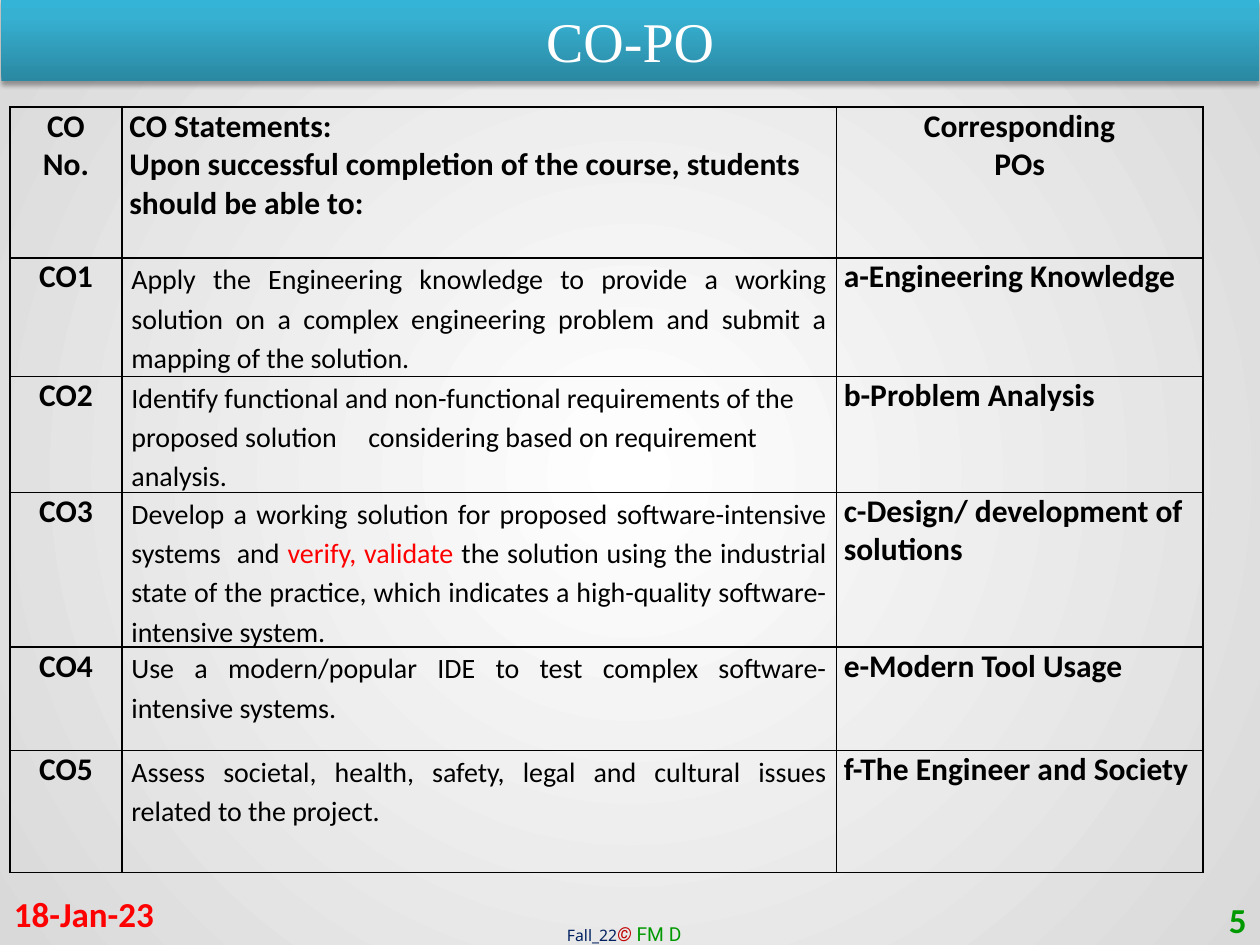
from lxml import etree
from pptx import Presentation
from pptx.dml.color import RGBColor
from pptx.enum.shapes import MSO_SHAPE
from pptx.enum.text import MSO_ANCHOR, PP_ALIGN
from pptx.oxml.ns import qn
from pptx.util import Cm, Pt

LEFT, CENTER, RIGHT, JUSTIFY = PP_ALIGN.LEFT, PP_ALIGN.CENTER, PP_ALIGN.RIGHT, PP_ALIGN.JUSTIFY
TOP, MIDDLE = MSO_ANCHOR.TOP, MSO_ANCHOR.MIDDLE

BLACK = RGBColor(0x00, 0x00, 0x00)
WHITE = RGBColor(0xFF, 0xFF, 0xFF)
GREY = RGBColor(0xD9, 0xD9, 0xD9)
RED = RGBColor(0xFF, 0x00, 0x00)
DARK_RED = RGBColor(0xC0, 0x00, 0x00)
GREEN = RGBColor(0x00, 0x99, 0x00)
NAVY = RGBColor(0x00, 0x20, 0x60)
DEEP_TEAL = RGBColor(0x2A, 0x88, 0xA2)
TEAL = RGBColor(0x37, 0xB1, 0xD2)
LIGHT_TEAL = RGBColor(0x34, 0xB4, 0xD6)

TITLE_FORMAT = {"name": "Times New Roman", "size": Pt(32), "color": WHITE}
DATE_FORMAT = {"name": "Calibri", "size": Pt(20), "bold": True, "color": RED}
NUMBER_FORMAT = {**DATE_FORMAT, "color": GREEN}
LABEL_FORMAT = {"name": "Calibri", "size": Pt(18), "bold": True, "color": BLACK}
STATEMENT_FORMAT = {"name": "Calibri", "size": Pt(16), "bold": False, "color": BLACK}
STRESS_FORMAT = {**STATEMENT_FORMAT, "color": RED}
TERM_FORMAT = {"name": "Noto Sans", "size": Pt(9), "color": NAVY}
OWNER_FORMAT = {"name": "Roboto", "size": Pt(11), "color": GREEN}
SIGN_FORMAT = {**OWNER_FORMAT, "color": DARK_RED, "italic": True}

# left, top, width, height in cm; alignment; anchor; runs
TEXT_BOXES = [
    ((11.18, 18.47, 3.02, 0.74), LEFT, TOP,
     [("Fall_22", TERM_FORMAT), ("© ", SIGN_FORMAT), ("FM D", OWNER_FORMAT)]),
    ((0.03, 17.91, 5.92, 1.02), LEFT, MIDDLE, [("18-Jan-23", DATE_FORMAT)]),
    ((19.46, 18.03, 5.92, 1.02), RIGHT, MIDDLE, [("5", NUMBER_FORMAT)]),
]

HEADINGS = [
    (["CO", "No."], CENTER),
    (["CO Statements:",
      "Upon successful completion of the course, students should be able to:"], LEFT),
    (["Corresponding", "POs"], CENTER),
]
# statement pieces alternate between plain and stressed text
OUTCOMES = [
    ("CO1", ["Apply the Engineering knowledge to provide a working solution on a complex "
             "engineering problem and submit a mapping of the solution."],
     JUSTIFY, "a-Engineering Knowledge"),
    ("CO2", ["Identify functional and non-functional requirements of the proposed "
             "solution     considering based on requirement analysis."],
     LEFT, "b-Problem Analysis"),
    ("CO3", ["Develop a working solution for proposed software-intensive systems  and ",
             "verify, validate ",
             "the solution using the industrial state of the practice, which indicates a "
             "high-quality software-intensive system."],
     JUSTIFY, "c-Design/ development of solutions"),
    ("CO4", ["Use a modern/popular IDE to test complex software-intensive systems."],
     JUSTIFY, "e-Modern Tool Usage"),
    ("CO5", ["Assess societal, health, safety, legal and cultural issues related to "
             "the project."],
     JUSTIFY, "f-The Engineer and Society"),
]
TABLE_LEFT, TABLE_TOP = 0.2, 2.16
COLUMN_WIDTHS = [2.26, 14.4, 7.39]
ROW_HEIGHTS = [3.04, 2.39, 2.32, 3.12, 2.08, 2.46]


def add_element(parent, tag, **attributes):
    return etree.SubElement(parent, qn(tag), {k: str(v) for k, v in attributes.items()})


def set_gradient(fill, owner, stops):
    """Give the fill these (percent, colour) stops; return its XML for the direction."""
    fill.gradient()
    gradient = owner.find(".//" + qn("a:gradFill"))
    for child in list(gradient):
        gradient.remove(child)
    stop_list = add_element(gradient, "a:gsLst")
    for percent, color in stops:
        stop = add_element(stop_list, "a:gs", pos=percent * 1000)
        add_element(stop, "a:srgbClr", val=color)
    return gradient


def write_paragraph(paragraph, runs, alignment, line_spacing=1.0):
    paragraph.alignment = alignment
    paragraph.line_spacing = line_spacing
    for text, text_format in runs:
        run = paragraph.add_run()
        run.text = text
        for name, value in text_format.items():
            if name == "color":
                run.font.color.rgb = value
            else:
                setattr(run.font, name, value)


def write_cell(cell, paragraphs, alignment, margin=0.15, line_spacing=1.0):
    margins = {"margin_left": margin, "margin_right": margin,
               "margin_top": 0, "margin_bottom": 0}
    for name, value in margins.items():
        setattr(cell, name, Cm(value))
    frame = cell.text_frame
    for index, runs in enumerate(paragraphs):
        paragraph = frame.add_paragraph() if index else frame.paragraphs[0]
        write_paragraph(paragraph, runs, alignment, line_spacing)
    properties = cell._tc.get_or_add_tcPr()
    for side in ("a:lnL", "a:lnR", "a:lnT", "a:lnB"):
        line = add_element(properties, side, w=Pt(1))
        add_element(add_element(line, "a:solidFill"), "a:srgbClr", val=BLACK)
    cell.fill.background()


def add_banner(slide):
    banner = slide.shapes.add_shape(MSO_SHAPE.RECTANGLE, Cm(0.03), 0, Cm(25.35), Cm(1.63))
    banner.line.fill.background()
    gradient = set_gradient(banner.fill, banner._element.spPr,
                            [(0, DEEP_TEAL), (80, TEAL), (100, LIGHT_TEAL)])
    add_element(gradient, "a:lin", ang=270 * 60000, scaled=0)
    banner.shadow.inherit = False
    effects = banner._element.spPr.find(qn("a:effectLst"))
    shadow = add_element(effects, "a:outerShdw", blurRad=Pt(3.1), dist=Pt(1.8),
                         dir=90 * 60000, rotWithShape=0)
    add_element(add_element(shadow, "a:srgbClr", val=BLACK), "a:alpha", val=35000)
    banner.text_frame.vertical_anchor = MIDDLE
    write_paragraph(banner.text_frame.paragraphs[0], [("CO-PO", TITLE_FORMAT)], CENTER)


def add_outcome_table(slide):
    table = slide.shapes.add_table(
        len(ROW_HEIGHTS), len(COLUMN_WIDTHS), Cm(TABLE_LEFT), Cm(TABLE_TOP),
        Cm(sum(COLUMN_WIDTHS)), Cm(sum(ROW_HEIGHTS))).table
    table.first_row = table.horz_banding = False
    for column, width in zip(table.columns, COLUMN_WIDTHS):
        column.width = Cm(width)
    for row, height in zip(table.rows, ROW_HEIGHTS):
        row.height = Cm(height)
    for column, (lines, alignment) in enumerate(HEADINGS):
        write_cell(table.cell(0, column), [[(line, LABEL_FORMAT)] for line in lines], alignment)
    for row, (label, pieces, alignment, program_outcome) in enumerate(OUTCOMES, 1):
        statement = [(piece, STRESS_FORMAT if index % 2 else STATEMENT_FORMAT)
                     for index, piece in enumerate(pieces)]
        write_cell(table.cell(row, 0), [[(label, LABEL_FORMAT)]], CENTER)
        write_cell(table.cell(row, 1), [statement], alignment, 0.19, 1.15)
        write_cell(table.cell(row, 2), [[(program_outcome, LABEL_FORMAT)]], LEFT)


def main():
    presentation = Presentation()
    presentation.slide_width, presentation.slide_height = Cm(25.4), Cm(19.05)
    slide = presentation.slides.add_slide(presentation.slide_layouts[6])
    gradient = set_gradient(slide.background.fill, slide.element, [(0, WHITE), (100, GREY)])
    center = add_element(gradient, "a:path", path="circle")
    add_element(center, "a:fillToRect", l=50000, t=50000, r=50000, b=50000)

    add_banner(slide)
    for position, alignment, anchor, runs in TEXT_BOXES:
        frame = slide.shapes.add_textbox(*map(Cm, position)).text_frame
        frame.word_wrap = True
        frame.vertical_anchor = anchor
        write_paragraph(frame.paragraphs[0], runs, alignment)
    add_outcome_table(slide)
    presentation.save("out.pptx")


if __name__ == "__main__":
    main()
